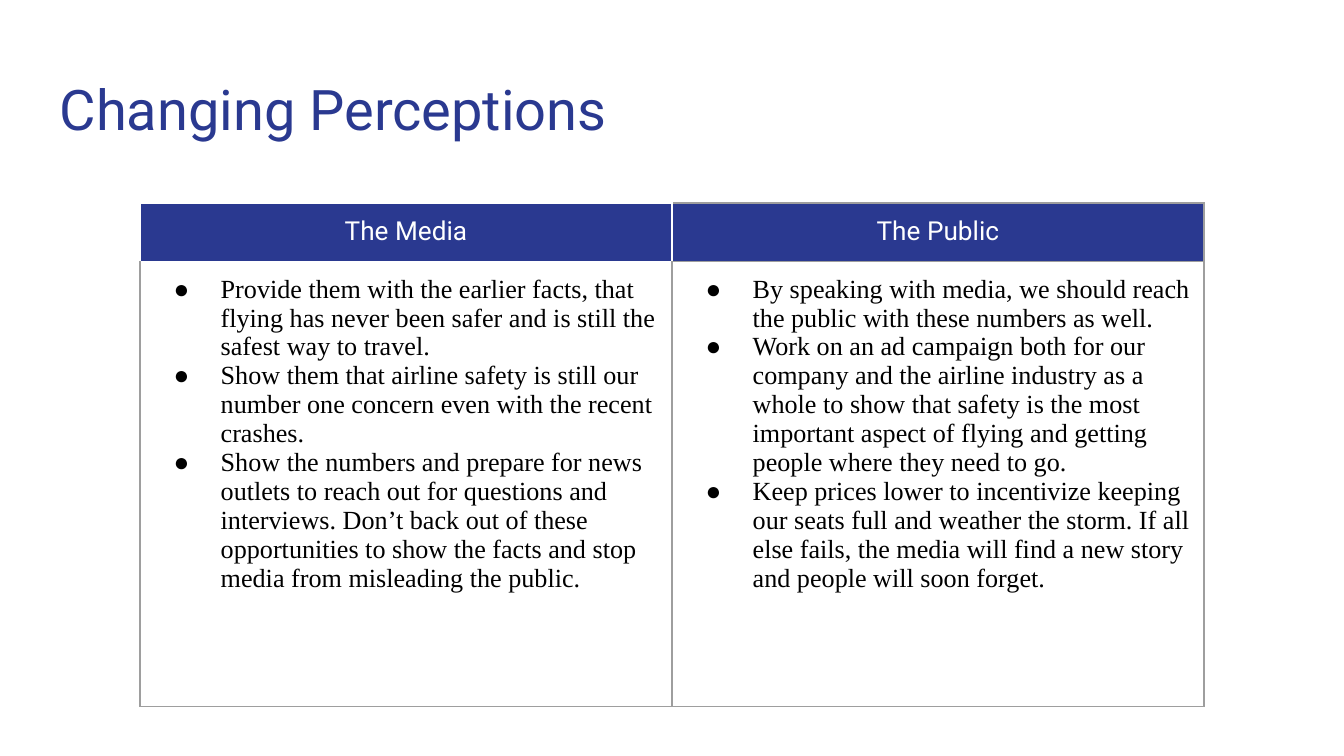
import dataclasses

import lxml.etree
import pptx
import pptx.dml.color
import pptx.enum.text
import pptx.oxml.ns
import pptx.util

PX = 3175  # EMU; 288 px to the inch
COLORS = {"navy": "2A3990", "white": "FFFFFF", "grey": "9E9E9E", "black": "000000"}
HEADING_FONT = "Roboto"
BODY_FONT = "Times New Roman"
SIDES = ("L", "R", "T", "B")
COLUMN_WIDTH = 1140
ROW_HEIGHTS = (123, 954)
INSET = 29
TEXT_INDENT = 144
BULLET_HANG = 101


@dataclasses.dataclass
class Column:
    heading: str
    points: list[str]
    heading_borders: tuple[str, ...]  # colour names in the order of SIDES
    body_borders: tuple[str, ...]


COLUMNS = [
    Column(
        "The Media",
        [
            "Provide them with the earlier facts, that flying has never been safer "
            "and is still the safest way to travel.",
            "Show them that airline safety is still our number one concern even "
            "with the recent crashes.",
            "Show the numbers and prepare for news outlets to reach out for "
            "questions and interviews. Don’t back out of these opportunities to "
            "show the facts and stop media from misleading the public.",
        ],
        ("white",) * 4,
        ("grey", "grey", "white", "grey"),
    ),
    Column(
        "The Public",
        [
            "By speaking with media, we should reach the public with these numbers as well.",
            "Work on an ad campaign both for our company and the airline industry "
            "as a whole to show that safety is the most important aspect of flying "
            "and getting people where they need to go.",
            "Keep prices lower to incentivize keeping our seats full and weather "
            "the storm. If all else fails, the media will find a new story and "
            "people will soon forget.",
        ],
        ("white", "grey", "grey", "grey"),
        ("grey",) * 4,
    ),
]


def px(length: int) -> pptx.util.Emu:
    return pptx.util.Emu(length * PX)


def rgb(name: str) -> pptx.dml.color.RGBColor:
    return pptx.dml.color.RGBColor.from_string(COLORS[name])


def add_child(parent, tag: str, **attributes: str):
    child = lxml.etree.SubElement(parent, pptx.oxml.ns.qn(tag))
    for name, value in attributes.items():
        child.set(name, value)
    return child


def add_span(para, text: str, size: int, font: str, color: str) -> None:
    span = para.add_run()
    span.text = text
    span.font.size = pptx.util.Pt(size)
    span.font.name = font
    span.font.color.rgb = rgb(color)


def set_insets(target) -> None:
    """Give a cell or text frame the same margin on every side."""
    target.margin_left = target.margin_right = px(INSET)
    target.margin_top = target.margin_bottom = px(INSET)


def set_borders(cell, colors: tuple[str, ...]) -> None:
    """Draw the four borders; the schema wants them ahead of the fill."""
    properties = cell._tc.get_or_add_tcPr()
    for index, (side, color) in enumerate(zip(SIDES, colors)):
        line = add_child(properties, f"a:ln{side}", w=str(pptx.util.Pt(0.75)))
        fill = add_child(line, "a:solidFill")
        add_child(fill, "a:srgbClr", val=COLORS[color])
        properties.insert(index, line)


def set_bullet(para) -> None:
    properties = para._p.get_or_add_pPr()
    properties.set("marL", str(px(TEXT_INDENT)))
    properties.set("indent", str(-px(BULLET_HANG)))
    color = add_child(properties, "a:buClr")
    add_child(color, "a:srgbClr", val=COLORS["black"])
    add_child(properties, "a:buFont", typeface=BODY_FONT)
    add_child(properties, "a:buChar", char="●")


def add_title(page, text: str) -> None:
    box = page.shapes.add_textbox(px(99), px(130), px(2684), px(190))
    frame = box.text_frame
    frame.word_wrap = True
    set_insets(frame)
    add_span(frame.paragraphs[0], text, 30, HEADING_FONT, "navy")


def fill_heading(cell, column: Column) -> None:
    set_insets(cell)
    cell.fill.solid()
    cell.fill.fore_color.rgb = rgb("navy")
    set_borders(cell, column.heading_borders)
    para = cell.text_frame.paragraphs[0]
    para.alignment = pptx.enum.text.PP_ALIGN.CENTER
    add_span(para, column.heading, 14, HEADING_FONT, "white")


def fill_body(cell, column: Column) -> None:
    set_insets(cell)
    cell.fill.background()
    set_borders(cell, column.body_borders)
    frame = cell.text_frame
    for index, point in enumerate(column.points):
        para = frame.add_paragraph() if index else frame.paragraphs[0]
        set_bullet(para)
        add_span(para, point, 14, BODY_FONT, "black")


def add_comparison(page, columns: list[Column]) -> None:
    table = page.shapes.add_table(
        len(ROW_HEIGHTS), len(columns), px(300), px(435),
        px(COLUMN_WIDTH * len(columns)), px(sum(ROW_HEIGHTS)),
    ).table
    table.first_row = table.horz_banding = False
    for row, height in zip(table.rows, ROW_HEIGHTS):
        row.height = px(height)
    for index, column in enumerate(columns):
        table.columns[index].width = px(COLUMN_WIDTH)
        fill_heading(table.cell(0, index), column)
        fill_body(table.cell(1, index), column)


def main() -> None:
    deck = pptx.Presentation()
    deck.slide_width, deck.slide_height = px(2880), px(1620)
    page = deck.slides.add_slide(deck.slide_layouts[6])
    add_title(page, "Changing Perceptions")
    add_comparison(page, COLUMNS)
    deck.save("out.pptx")


if __name__ == "__main__":
    main()
